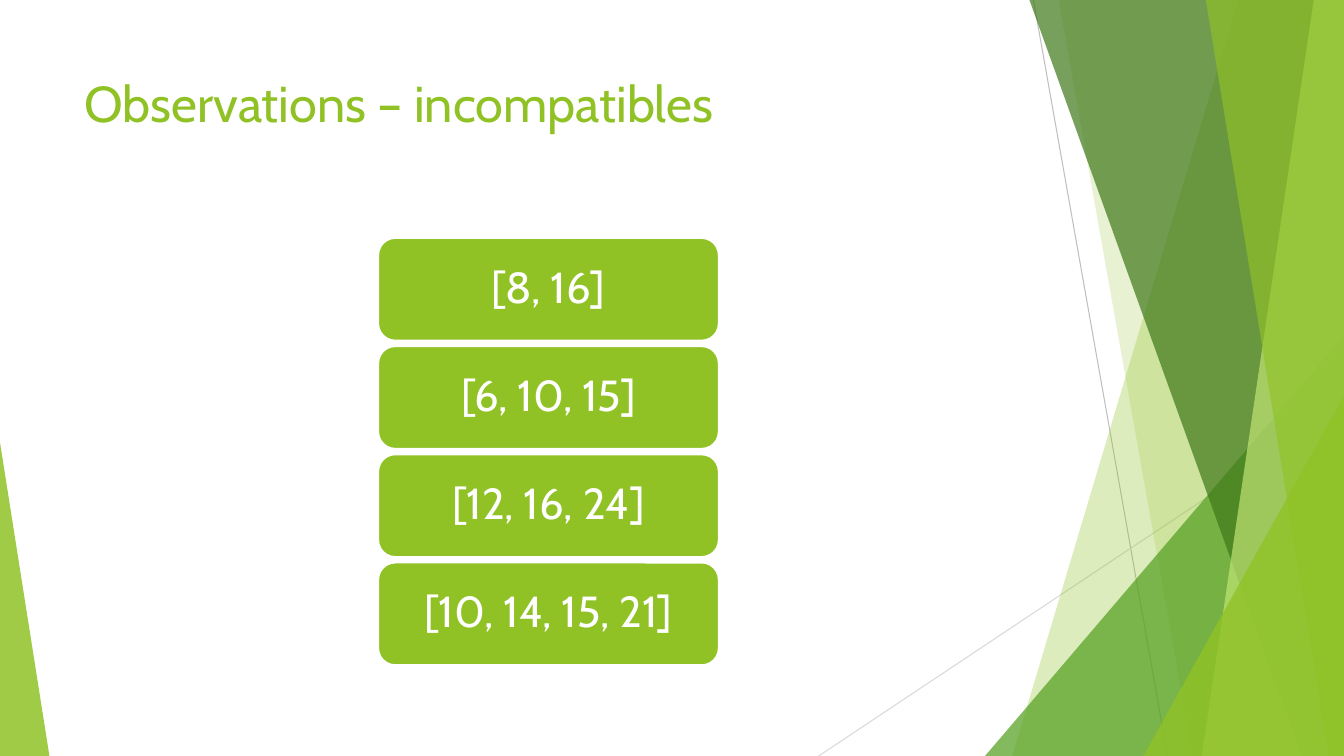
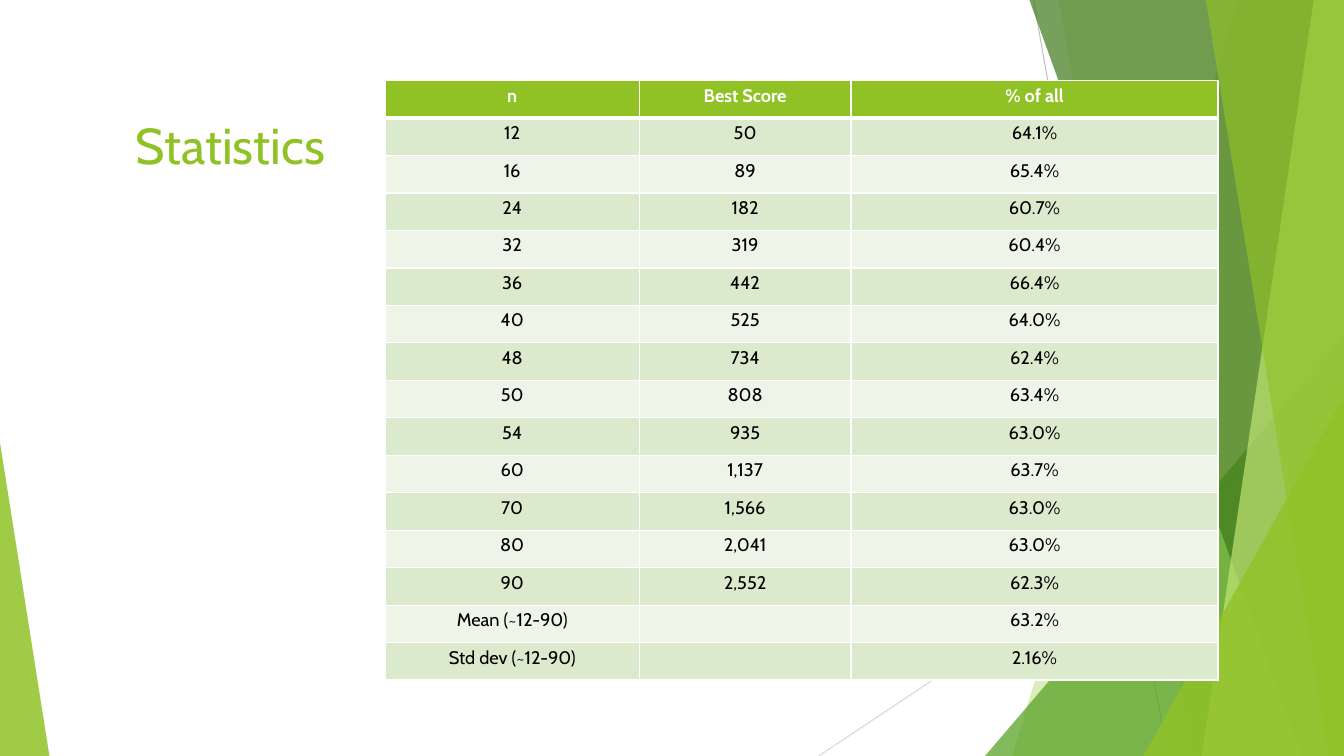
from dataclasses import dataclass

from lxml.etree import SubElement
from pptx import Presentation
from pptx.dml.color import RGBColor
from pptx.enum.shapes import MSO_CONNECTOR, MSO_SHAPE
from pptx.enum.text import MSO_ANCHOR, PP_ALIGN
from pptx.oxml.ns import qn
from pptx.util import Inches, Pt

SLIDE_W, SLIDE_H = 13.33, 7.5


@dataclass(frozen=True)
class Theme:
    font: str = "Cabin"
    title_size: int = 36
    box_size: int = 31
    table_size: int = 13
    lime: str = "90C226"
    green: str = "54A021"
    forest: str = "3F7819"
    pale_lime: str = "C0E474"
    line_dark: str = "BFBFBF"
    line_light: str = "D9D9D9"
    white: str = "FFFFFF"
    black: str = "000000"
    bands: tuple = ("DBE9CD", "EEF4E8")


class Deck:
    def __init__(self, theme):
        self.theme = theme
        self.prs = Presentation()
        self.prs.slide_width = Inches(SLIDE_W)
        self.prs.slide_height = Inches(SLIDE_H)
        self.shapes = None

    def new_slide(self, title, left, top, width, height):
        s = self.prs.slides.add_slide(self.prs.slide_layouts[6])
        self.shapes = s.shapes
        self.backdrop()
        self.title(title, left, top, width, height)

    def backdrop(self):
        t = self.theme
        self.line(10.25, 0, 11.58, SLIDE_H, t.line_dark)
        self.line(SLIDE_W, 4.03, 8.12, SLIDE_H, t.line_light)
        self.wedge(12.28, 10.04, t.lime, 30)
        self.wedge(10.5, 11.83, t.lime, 20)
        self.triangle(9.77, 3.33, 3.56, 1, t.green, 72)
        self.wedge(10.21, 12.91, t.forest, 70)
        self.wedge(13.03, 11.92, t.pale_lime, 70)
        self.wedge(11.96, 13.18, t.lime, 65)
        self.triangle(11.34, 3.93, 1.99, 1, t.lime, 80)
        self.triangle(0, 4.39, 0.49, 0, t.lime, 85)

    def line(self, x1, y1, x2, y2, color):
        c = self.shapes.add_connector(
            MSO_CONNECTOR.STRAIGHT, Inches(x1), Inches(y1), Inches(x2), Inches(y2))
        c.line.color.rgb = RGBColor.from_string(color)
        c.line.width = Pt(0.75)
        SubElement(c._element.spPr, qn("a:effectLst"))

    def wedge(self, top_x, bottom_x, color, opacity):
        """Fill from a slanted left edge to the right side of the slide."""
        builder = self.shapes.build_freeform(Inches(top_x), 0)
        corners = [(SLIDE_W, 0), (SLIDE_W, SLIDE_H), (bottom_x, SLIDE_H)]
        builder.add_line_segments([(Inches(x), Inches(y)) for x, y in corners])
        self.paint(builder.convert_to_shape(), color, opacity)

    def triangle(self, left, top, width, apex, color, opacity):
        """Draw a triangle standing on the slide's bottom edge."""
        sp = self.shapes.add_shape(
            MSO_SHAPE.ISOSCELES_TRIANGLE, Inches(left), Inches(top),
            Inches(width), Inches(SLIDE_H - top))
        sp.adjustments[0] = apex
        self.paint(sp, color, opacity)

    def paint(self, sp, color, opacity=100):
        sp.shadow.inherit = False
        sp.fill.solid()
        sp.fill.fore_color.rgb = RGBColor.from_string(color)
        sp.line.fill.background()
        if opacity < 100:
            clr = sp._element.spPr.find(qn("a:solidFill"))[0]
            SubElement(clr, qn("a:alpha"), val=str(opacity * 1000))

    def set_text(self, tf, text, size, color, align=PP_ALIGN.LEFT, bold=False):
        p = tf.paragraphs[0]
        p.text = text
        p.alignment = align
        p.font.name = self.theme.font
        p.font.size = Pt(size)
        p.font.bold = bold
        p.font.color.rgb = RGBColor.from_string(color)
        return p

    def title(self, text, left, top, width, height):
        sp = self.shapes.add_textbox(
            Inches(left), Inches(top), Inches(width), Inches(height))
        sp.text_frame.word_wrap = True
        self.set_text(sp.text_frame, text, self.theme.title_size, self.theme.lime)

    def box(self, text, left, top, width, height):
        t = self.theme
        sp = self.shapes.add_shape(
            MSO_SHAPE.ROUNDED_RECTANGLE, Inches(left), Inches(top),
            Inches(width), Inches(height))
        self.paint(sp, t.lime)
        sp.line.color.rgb = RGBColor.from_string(t.white)
        sp.line.width = Pt(1.5)
        tf = sp.text_frame
        tf.word_wrap = True
        tf.vertical_anchor = MSO_ANCHOR.MIDDLE
        p = self.set_text(tf, text, t.box_size, t.white, PP_ALIGN.CENTER)
        p.line_spacing = 0.9

    def table(self, rows, left, top, widths, height):
        t = self.theme
        tbl = self.shapes.add_table(
            len(rows), len(widths), Inches(left), Inches(top),
            Inches(sum(widths)), Inches(height)).table
        tbl.horz_banding = False
        for col, width in zip(tbl.columns, widths):
            col.width = Inches(width)
        for i, row in enumerate(rows):
            header = i == 0
            fill = t.lime if header else t.bands[(i - 1) % 2]
            color = t.white if header else t.black
            for j, text in enumerate(row):
                cell = tbl.cell(i, j)
                self.borders(cell, top=3 if i == 1 else 1, bottom=3 if header else 1)
                cell.fill.solid()
                cell.fill.fore_color.rgb = RGBColor.from_string(fill)
                cell.margin_left = cell.margin_right = Inches(0.07)
                cell.margin_top = cell.margin_bottom = Inches(0.04)
                self.set_text(cell.text_frame, text, t.table_size, color,
                              PP_ALIGN.CENTER, header)

    def borders(self, cell, top, bottom):
        tc_pr = cell._tc.get_or_add_tcPr()
        for side, width in (("L", 1), ("R", 1), ("T", top), ("B", bottom)):
            ln = SubElement(tc_pr, qn(f"a:ln{side}"), w=str(Pt(width)))
            fill = SubElement(ln, qn("a:solidFill"))
            SubElement(fill, qn("a:srgbClr"), val=self.theme.white)


def observations(deck):
    deck.new_slide("Observations – incompatibles", 0.74, 0.67, 9.4, 1.44)
    sets = ["[8, 16]", "[6, 10, 15]", "[12, 16, 24]", "[10, 14, 15, 21]"]
    first, last = 2.36, 5.58
    pitch = (last - first) / (len(sets) - 1)
    for i, text in enumerate(sets):
        deck.box(text, 3.75, first + i * pitch, 3.38, 1.02)


def statistics(deck):
    deck.new_slide("Statistics", 1.25, 1.08, 10.83, 0.75)
    rows = [
        ("n", "Best Score", "% of all"),
        ("12", "50", "64.1%"),
        ("16", "89", "65.4%"),
        ("24", "182", "60.7%"),
        ("32", "319", "60.4%"),
        ("36", "442", "66.4%"),
        ("40", "525", "64.0%"),
        ("48", "734", "62.4%"),
        ("50", "808", "63.4%"),
        ("54", "935", "63.0%"),
        ("60", "1,137", "63.7%"),
        ("70", "1,566", "63.0%"),
        ("80", "2,041", "63.0%"),
        ("90", "2,552", "62.3%"),
        ("Mean (~12-90)", "", "63.2%"),
        ("Std dev (~12-90)", "", "2.16%"),
    ]
    deck.table(rows, 3.82, 0.8, (2.52, 2.1, 3.64), 5.95)


def main():
    deck = Deck(Theme())
    observations(deck)
    statistics(deck)
    deck.prs.save("out.pptx")


if __name__ == "__main__":
    main()
